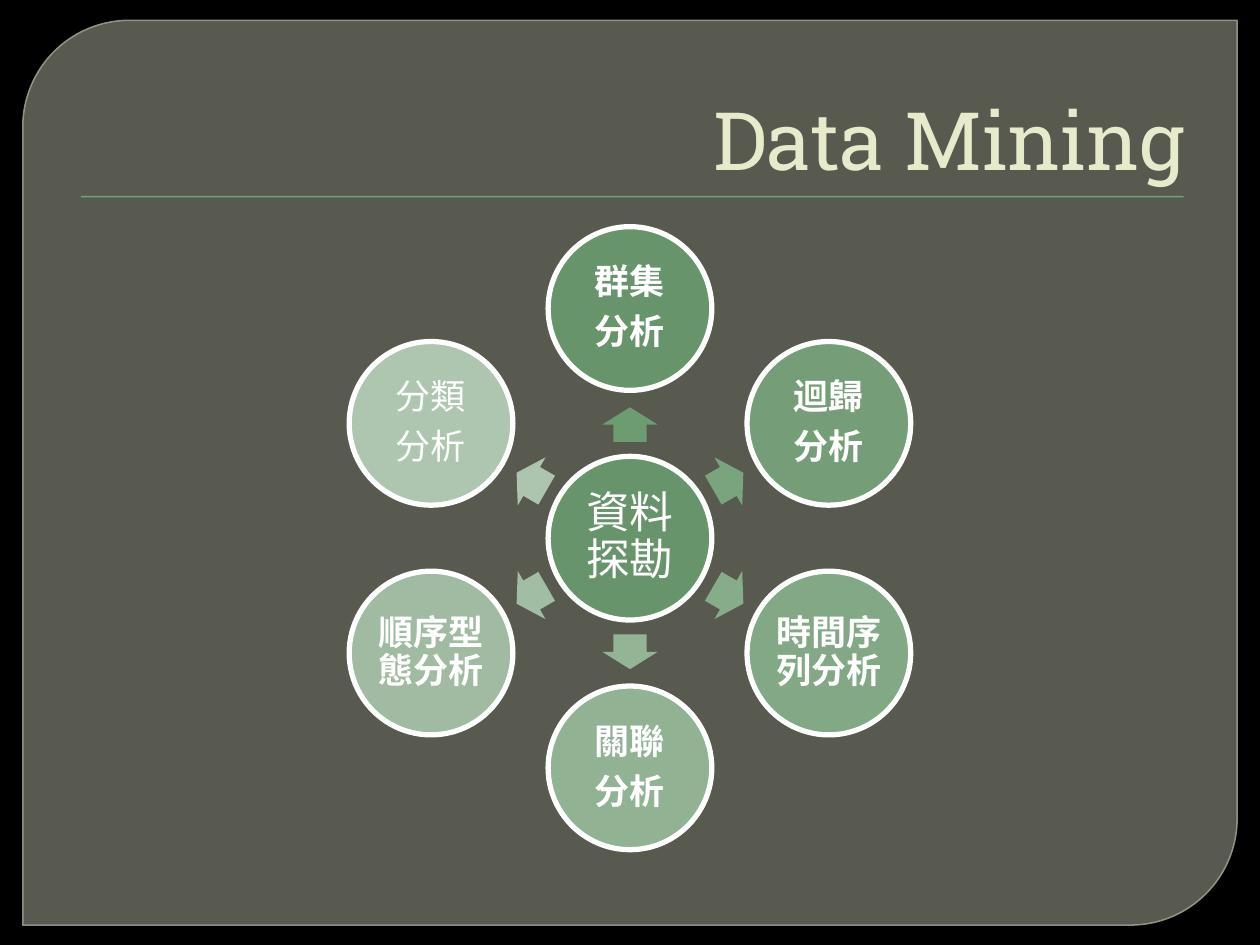
import math
from pptx import Presentation
from pptx import util as u
from pptx.dml.color import RGBColor
from pptx.enum import shapes, text
from pptx.oxml.ns import qn
from lxml import etree

KIND = shapes.MSO_SHAPE
HUES = {"back": "000000", "panel": "888B7B", "edge": "9DA090",
        "rule": "72A376", "title": "E7EACB", "white": "FFFFFF",
        "hub": "67946B"}
# label lines, circle fill, arrow fill, bold; clockwise from the top
NODES = [
    (["群集", "分析"], "67946B", "6D9C71", True),
    (["迴歸", "分析"], "759E78", "7AA47D", True),
    (["時間序列分析"], "83A886", "87AC8A", True),
    (["關聯", "分析"], "92B294", "94B496", True),
    (["順序型態分析"], "A0BBA2", "A1BDA3", True),
    (["分類", "分析"], "AEC5B0", "ADC5AF", False),
]
MID_X, MID_Y = 12.7, 10.85
RING, REACH = 4.63, 2.29
SIZE = 3.3


class Deck:
    face = "Roboto Slab"

    def __init__(self, slide):
        self.slide = slide
        fill = slide.background.fill
        fill.solid()
        fill.fore_color.rgb = self.tint("back")

    def tint(self, name):
        return RGBColor.from_string(HUES.get(name, name))

    def fade(self, fill, part):
        """Set the opacity of a solid fill, in percent."""
        hue = fill.find(".//" + qn("a:srgbClr"))
        etree.SubElement(hue, qn("a:alpha")).set("val", str(part * 1000))

    def shape(self, kind, box, fill, line=None, width=0, adjust=()):
        item = self.slide.shapes.add_shape(kind, *map(u.Cm, box))
        item.shadow.inherit = False
        item.fill.solid()
        item.fill.fore_color.rgb = self.tint(fill)
        if line:
            item.line.color.rgb = self.tint(line)
            item.line.width = u.Pt(width)
        else:
            item.line.fill.background()
        for i, part in enumerate(adjust):
            item.adjustments[i] = part
        return item

    def panel(self, box):
        item = self.shape(KIND.ROUND_2_DIAG_RECTANGLE, box, "panel",
                          "edge", 0.87, (0.118, 0))
        props = item._element.spPr
        self.fade(props.find(qn("a:solidFill")), 65)
        self.fade(props.find(qn("a:ln")), 88)

    def label(self, frame, lines, size, hue, para, bold=False):
        font = {"name": self.face, "size": u.Pt(size), "bold": bold}
        for i, line in enumerate(lines):
            p = frame.add_paragraph() if i else frame.paragraphs[0]
            for key, val in para.items():
                setattr(p, key, val)
            run = p.add_run()
            run.text = line
            for key, val in font.items():
                setattr(run.font, key, val)
            run.font.color.rgb = self.tint(hue)

    def title(self, words, box):
        item = self.slide.shapes.title
        for key, val in zip(("left", "top", "width", "height"), box):
            setattr(item, key, u.Cm(val))
        frame = item.text_frame
        frame.auto_size = text.MSO_AUTO_SIZE.NONE
        frame.vertical_anchor = text.MSO_ANCHOR.BOTTOM
        self.label(frame, [words], 46, "title",
                   {"alignment": text.PP_ALIGN.RIGHT})
        # Bring the title in front of the panel
        self.slide.shapes._spTree.append(item._element)

    def disc(self, x, y, lines, fill, size=20, bold=True):
        box = (x - SIZE / 2, y - SIZE / 2, SIZE, SIZE)
        frame = self.shape(KIND.OVAL, box, fill, "white", 3).text_frame
        look = {"word_wrap": True, "vertical_anchor": text.MSO_ANCHOR.MIDDLE}
        for side in ("left", "right", "top", "bottom"):
            look["margin_" + side] = u.Cm(0.08)
        for key, val in look.items():
            setattr(frame, key, val)
        para = {"alignment": text.PP_ALIGN.CENTER, "line_spacing": 0.9,
                "space_after": u.Pt(size * 0.35)}
        self.label(frame, lines, size, "white", para, bold)

    def arrow(self, x, y, turn, fill):
        wide, high = 0.7, 1.12
        box = (x - wide / 2, y - high / 2, wide, high)
        item = self.shape(KIND.RIGHT_ARROW, box, fill, adjust=(0.6, 0.5))
        item.rotation = turn


def main():
    show = Presentation()
    show.slide_width, show.slide_height = u.Cm(25.4), u.Cm(19.05)
    deck = Deck(show.slides.add_slide(show.slide_layouts[5]))

    # Backdrop and title
    deck.panel((0.46, 0.41, 24.48, 18.24))
    deck.shape(KIND.RECTANGLE, (1.63, 3.95, 22.23, 0.03), "rule")
    deck.title("Data Mining", (1.27, 0.71, 22.86, 3.18))

    # Hub, with six arrows out to a ring of circles
    deck.disc(MID_X, MID_Y, ["資料探勘"], "hub", 25, False)
    for i, (lines, fill, point, bold) in enumerate(NODES):
        turn = (270 + i * 360 / len(NODES)) % 360
        dx, dy = math.cos(math.radians(turn)), math.sin(math.radians(turn))
        deck.arrow(MID_X + REACH * dx, MID_Y + REACH * dy, turn, point)
        deck.disc(MID_X + RING * dx, MID_Y + RING * dy, lines, fill, bold=bold)

    show.save("out.pptx")


if __name__ == "__main__":
    main()
